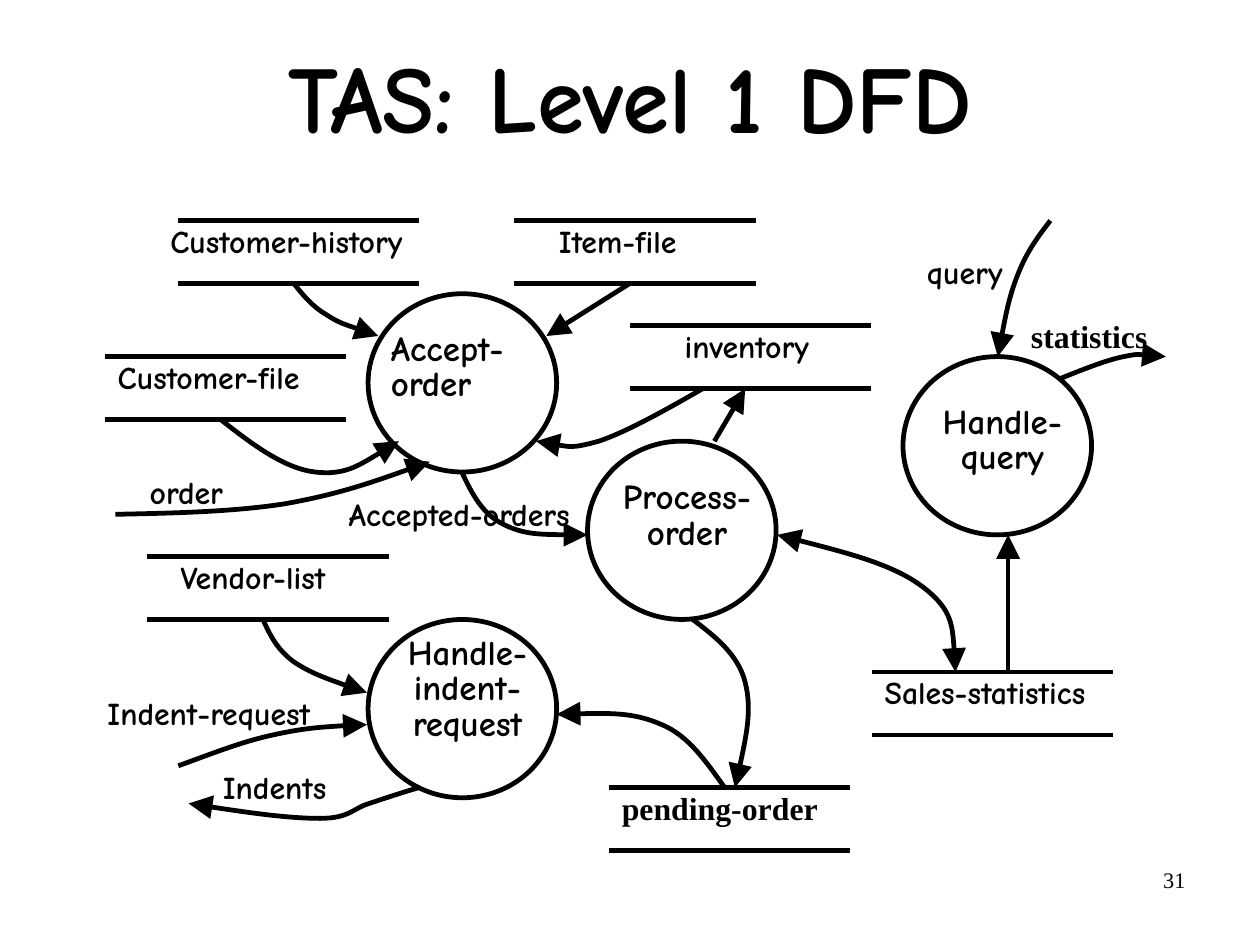
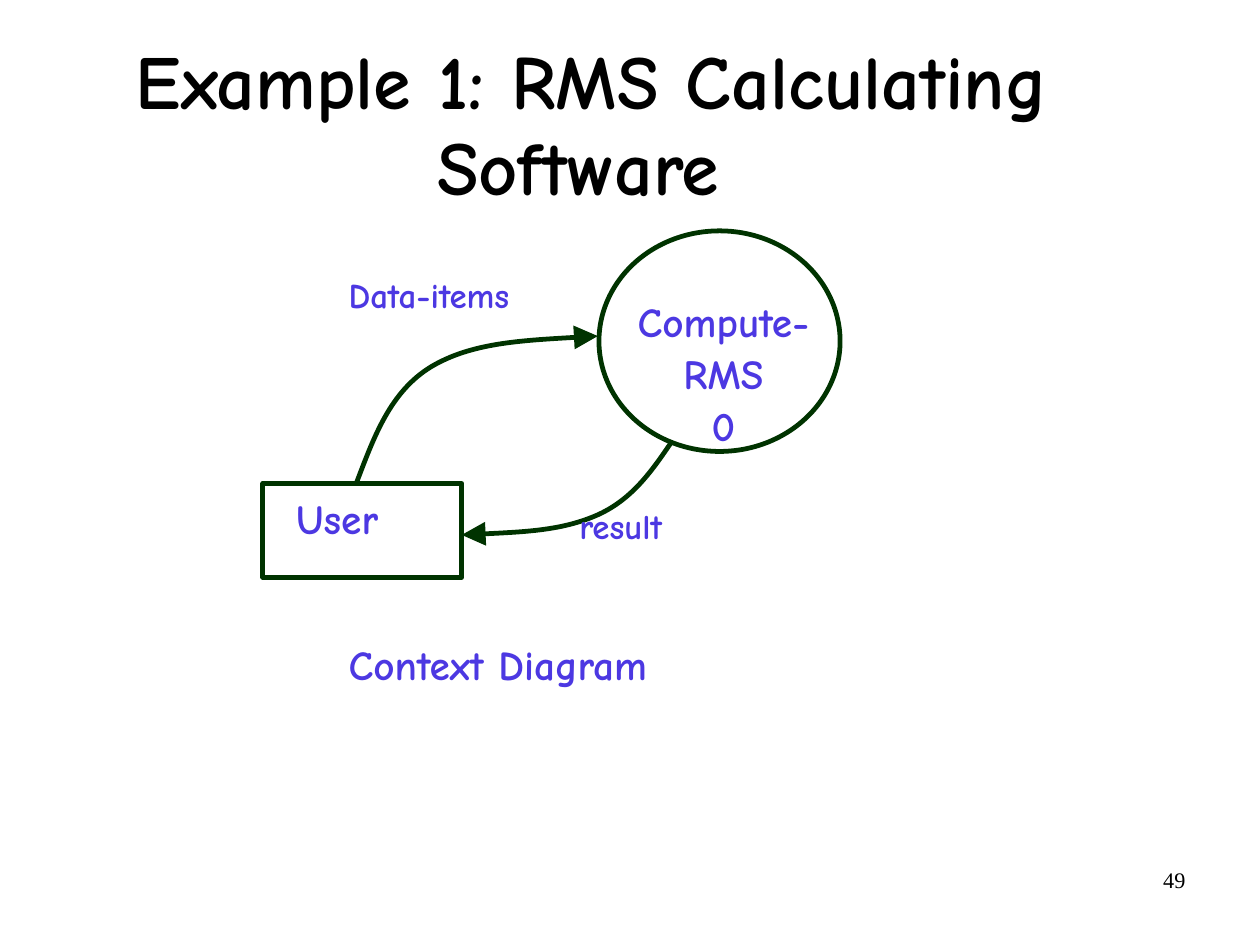
from dataclasses import dataclass

import lxml.etree
import pptx
import pptx.dml.color
import pptx.enum.shapes
import pptx.enum.text
import pptx.oxml.ns
import pptx.presentation
import pptx.shapes.base
import pptx.slide
import pptx.text.text
import pptx.util

Inches = pptx.util.Inches
Shape = pptx.enum.shapes.MSO_SHAPE
Align = pptx.enum.text.PP_ALIGN
qn = pptx.oxml.ns.qn

COLORS = {"black": "000000", "green": "003300", "violet": "4C38E2"}
COMIC = "Comic Neue"
TIMES = "Times New Roman"
STROKE = 3
STORE_WIDTH, STORE_GAP = 2.11, 0.55
BUBBLE_WIDTH, BUBBLE_HEIGHT = 1.65, 1.56


@dataclass
class Note:
    text: str
    x: float
    y: float
    w: float = 2.2
    h: float = 0.44
    size: int = 20
    font: str = COMIC
    color: str = "black"
    align: Align = Align.LEFT
    spacing: float = 0.85
    bold: bool = True
    pad: tuple[float, float] = (0.02, 0.06)


@dataclass
class Store:
    """A data store: two rules with a label set in by a shift."""
    text: str
    x: float
    y: float
    shift: float = 0.09
    w: float = 1.93
    h: float = 0.44
    font: str = COMIC


@dataclass
class Bubble:
    text: str
    x: float
    y: float
    drop: float
    w: float = 1.38
    h: float = 0.84
    align: Align = Align.CENTER


@dataclass
class Flow:
    """An arrow: two points are straight, more are cubic curves."""
    points: list[tuple[float, float]]
    color: str = "black"
    tail: bool = True
    head: bool = False


STORES = [
    Store("pending-order", 5.33, 6.89, h=0.76, font=TIMES),
    Store("Sales-statistics", 7.63, 5.88, h=0.76),
    Store("inventory", 5.51, 2.85, 0.46),
    Store("Vendor-list", 1.29, 4.87, 0.27),
    Store("Customer-file", 0.92, 3.12),
    Store("Item-file", 4.5, 1.93, 0.37),
    Store("Customer-history", 1.56, 1.93, -0.09, 2.48),
]

BUBBLES = [
    Bubble("Accept-order", 3.22, 2.57, 0.28, w=1.19, align=Align.LEFT),
    Bubble("Process-order", 5.14, 3.86, 0.29),
    Bubble("Handle-indent-request", 3.22, 5.42, 0.09, h=1.21),
    Bubble("Handle-query", 7.9, 3.12, 0.37),
]

LEVEL_NOTES = [
    Note("Indent-request", 0.92, 6.06),
    Note("Indents", 1.93, 6.71),
    Note("Accepted-orders", 3.03, 4.32, h=0.75),
    Note("query", 8.09, 2.2),
    Note("statistics", 9, 2.76, w=2, font=TIMES),
    Note("order", 1.29, 4.13),
]

LEVEL_FLOWS = [
    Flow([(1.56, 6.7), (1.84, 6.6), (2.11, 6.49), (2.39, 6.43),
          (2.66, 6.37), (2.94, 6.35), (3.21, 6.34)]),
    Flow([(3.67, 6.89), (3.53, 6.93), (3.38, 6.98), (3.23, 7.03),
          (3.09, 7.07), (3.06, 7.16), (2.8, 7.16),
          (2.53, 7.16), (2.09, 7.1), (1.65, 7.03)]),
    Flow([(2.3, 5.42), (2.36, 5.55), (2.42, 5.68), (2.57, 5.79),
          (2.72, 5.89), (2.97, 5.98), (3.21, 6.06)]),
    Flow([(6.34, 6.89), (6.18, 6.67), (6.03, 6.44), (5.79, 6.34),
          (5.54, 6.23), (5.21, 6.24), (4.87, 6.25)]),
    Flow([(6.06, 5.42), (6.26, 5.57), (6.46, 5.73), (6.52, 5.97),
          (6.58, 6.21), (6.51, 6.55), (6.43, 6.89)]),
    Flow([(6.8, 4.68), (7.31, 4.81), (7.82, 4.94), (8.08, 5.14),
          (8.34, 5.34), (8.35, 5.61), (8.36, 5.88)], head=True),
    Flow([(6.25, 3.86), (6.52, 3.4)]),
    Flow([(4.04, 4.13), (4.13, 4.32), (4.22, 4.5), (4.41, 4.59),
          (4.59, 4.68), (4.87, 4.68), (5.14, 4.68)]),
    Flow([(1.93, 3.67), (2.21, 3.89), (2.49, 4.1), (2.76, 4.13),
          (3.02, 4.16), (3.25, 4.01), (3.49, 3.86)]),
    Flow([(2.57, 2.48), (2.65, 2.58), (2.73, 2.68), (2.85, 2.75),
          (2.97, 2.83), (3.14, 2.88), (3.31, 2.94)]),
    Flow([(5.51, 2.48), (4.78, 2.94)]),
    Flow([(8.82, 5.88), (8.82, 4.68)]),
    Flow([(9.19, 1.93), (9.09, 2.06), (8.99, 2.19), (8.91, 2.39),
          (8.83, 2.59), (8.78, 2.85), (8.73, 3.12)]),
    Flow([(6.15, 3.4), (5.82, 3.59), (5.48, 3.78), (5.24, 3.86),
          (4.99, 3.93), (4.84, 3.89), (4.69, 3.86)]),
    Flow([(9.28, 3.31), (9.48, 3.23), (9.68, 3.15), (9.83, 3.12),
          (9.98, 3.09), (10.09, 3.11), (10.2, 3.12)]),
    Flow([(1.01, 4.5), (1.51, 4.49), (2.02, 4.48), (2.48, 4.41),
          (2.94, 4.33), (3.35, 4.19), (3.76, 4.04)]),
]

CONTEXT_NOTES = [
    Note("Compute- RMS\n0", 5.46, 2.51, 1.74, 1.43, 26, color="violet",
         align=Align.CENTER, spacing=1.05),
    Note("User", 2.57, 4.32, 1.65, 0.55, 26, color="violet"),
    Note("Data-items", 3.03, 2.39, 1.47, 0.84, 22, color="violet"),
    Note("result", 5.05, 4.41, 1.1, 0.48, 22, color="violet"),
    Note("Context Diagram", 3.03, 5.6, 5.33, 0.55, 26, color="violet"),
]

CONTEXT_FLOWS = [
    Flow([(3.12, 4.22), (3.27, 3.83), (3.41, 3.43), (3.77, 3.21),
          (4.12, 3), (4.68, 2.97), (5.23, 2.94)], "green"),
    Flow([(5.88, 3.86), (5.71, 4.11), (5.54, 4.36), (5.24, 4.5),
          (4.93, 4.64), (4.49, 4.66), (4.04, 4.68)], "green"),
]


def tint(name: str) -> pptx.dml.color.RGBColor:
    return pptx.dml.color.RGBColor.from_string(COLORS[name])


def write(frame: pptx.text.text.TextFrame, note: Note) -> None:
    frame.word_wrap = True
    frame.auto_size = pptx.enum.text.MSO_AUTO_SIZE.NONE
    frame.margin_left = frame.margin_right = Inches(note.pad[0])
    frame.margin_top = frame.margin_bottom = Inches(note.pad[1])
    para = frame.paragraphs[0]
    para.alignment = note.align
    para.line_spacing = note.spacing
    para.space_before = pptx.util.Pt(0)
    for row, text in enumerate(note.text.split("\n")):
        if row:
            para.add_line_break()
        run = para.add_run()
        run.text = text
        run.font.name = note.font
        run.font.size = pptx.util.Pt(note.size)
        run.font.bold = note.bold
        run.font.color.rgb = tint(note.color)


def add_note(slide: pptx.slide.Slide, note: Note) -> None:
    box = slide.shapes.add_textbox(*map(Inches, (note.x, note.y, note.w, note.h)))
    write(box.text_frame, note)


def stroke(shape: pptx.shapes.base.BaseShape, color: str) -> None:
    shape.line.color.rgb = tint(color)
    shape.line.width = pptx.util.Pt(STROKE)


def add_frame(slide: pptx.slide.Slide, kind: Shape, x: float, y: float,
              w: float, h: float, color: str = "black") -> None:
    """Draw an unfilled outline; a rounded one gets square corners."""
    shape = slide.shapes.add_shape(kind, *map(Inches, (x, y, w, h)))
    if kind == Shape.ROUNDED_RECTANGLE:
        shape.adjustments[0] = 0
    shape.fill.background()
    shape.shadow.inherit = False
    stroke(shape, color)


def bend(shape: pptx.shapes.base.BaseShape) -> None:
    """Turn each three line segments into one cubic curve."""
    legs = shape.element.xpath(".//a:lnTo")
    for first, *rest in zip(legs[::3], legs[1::3], legs[2::3]):
        first.tag = qn("a:cubicBezTo")
        for leg in rest:
            first.append(leg[0])
            leg.getparent().remove(leg)


def add_flow(slide: pptx.slide.Slide, flow: Flow) -> None:
    points = [(Inches(x), Inches(y)) for x, y in flow.points]
    if len(points) == 2:
        shape = slide.shapes.add_connector(
            pptx.enum.shapes.MSO_CONNECTOR.STRAIGHT, *points[0], *points[1])
        stroke(shape, flow.color)
        lxml.etree.SubElement(shape.element.spPr, qn("a:effectLst"))
    else:
        maker = slide.shapes.build_freeform(*points[0])
        maker.add_line_segments(points[1:], close=False)
        shape = maker.convert_to_shape()
        bend(shape)
        shape.fill.background()
        shape.shadow.inherit = False
        stroke(shape, flow.color)
    line = shape.element.spPr.find(qn("a:ln"))
    for shown, tag in ((flow.head, "a:headEnd"), (flow.tail, "a:tailEnd")):
        if shown:
            lxml.etree.SubElement(line, qn(tag), type="triangle", w="lg", len="lg")


def add_store(slide: pptx.slide.Slide, store: Store) -> None:
    add_note(slide, Note(store.text, store.x + store.shift, store.y,
                         store.w, store.h, font=store.font))
    for y in (store.y, store.y + STORE_GAP):
        add_flow(slide, Flow([(store.x, y), (store.x + STORE_WIDTH, y)], tail=False))


def add_bubble(slide: pptx.slide.Slide, bubble: Bubble) -> None:
    add_frame(slide, Shape.OVAL, bubble.x, bubble.y, BUBBLE_WIDTH, BUBBLE_HEIGHT)
    add_note(slide, Note(bubble.text, bubble.x + 0.18, bubble.y + bubble.drop,
                         bubble.w, bubble.h, 22, align=bubble.align))


def add_slide(deck: pptx.presentation.Presentation, title: Note, number: str,
              flows: list[Flow], notes: list[Note]) -> pptx.slide.Slide:
    slide = deck.slides.add_slide(deck.slide_layouts[5])
    holder = slide.shapes.title
    holder.left, holder.top = Inches(title.x), Inches(title.y)
    holder.width, holder.height = Inches(title.w), Inches(title.h)
    write(holder.text_frame, title)
    holder.text_frame.vertical_anchor = pptx.enum.text.MSO_ANCHOR.MIDDLE
    add_note(slide, Note(number, 7.9, 7.53, 2.57, 0.57, 14, TIMES, align=Align.RIGHT,
                         spacing=1, bold=False, pad=(0.1, 0.05)))
    for flow in flows:
        add_flow(slide, flow)
    for note in notes:
        add_note(slide, note)
    return slide


def main() -> None:
    deck = pptx.Presentation()
    deck.slide_width, deck.slide_height = Inches(28 / 2.54), Inches(21 / 2.54)

    title = Note("TAS: Level 1 DFD", 0.81, 0.2, 9.4, 1.37, 60,
                 align=Align.CENTER, spacing=0.94)
    level = add_slide(deck, title, "31", LEVEL_FLOWS, LEVEL_NOTES)
    for bubble in BUBBLES:
        add_bubble(level, bubble)
    for store in STORES:
        add_store(level, store)

    title = Note("Example 1: RMS Calculating Software ", 0.49, 0.32, 9.37, 1.57, 48,
                 align=Align.CENTER, spacing=0.94)
    context = add_slide(deck, title, "49", CONTEXT_FLOWS, CONTEXT_NOTES)
    add_frame(context, Shape.OVAL, 5.24, 2.02, 2.11, 1.93, "green")
    add_frame(context, Shape.ROUNDED_RECTANGLE, 2.3, 4.23, 1.74, 0.82, "green")
    deck.save("out.pptx")


if __name__ == "__main__":
    main()
